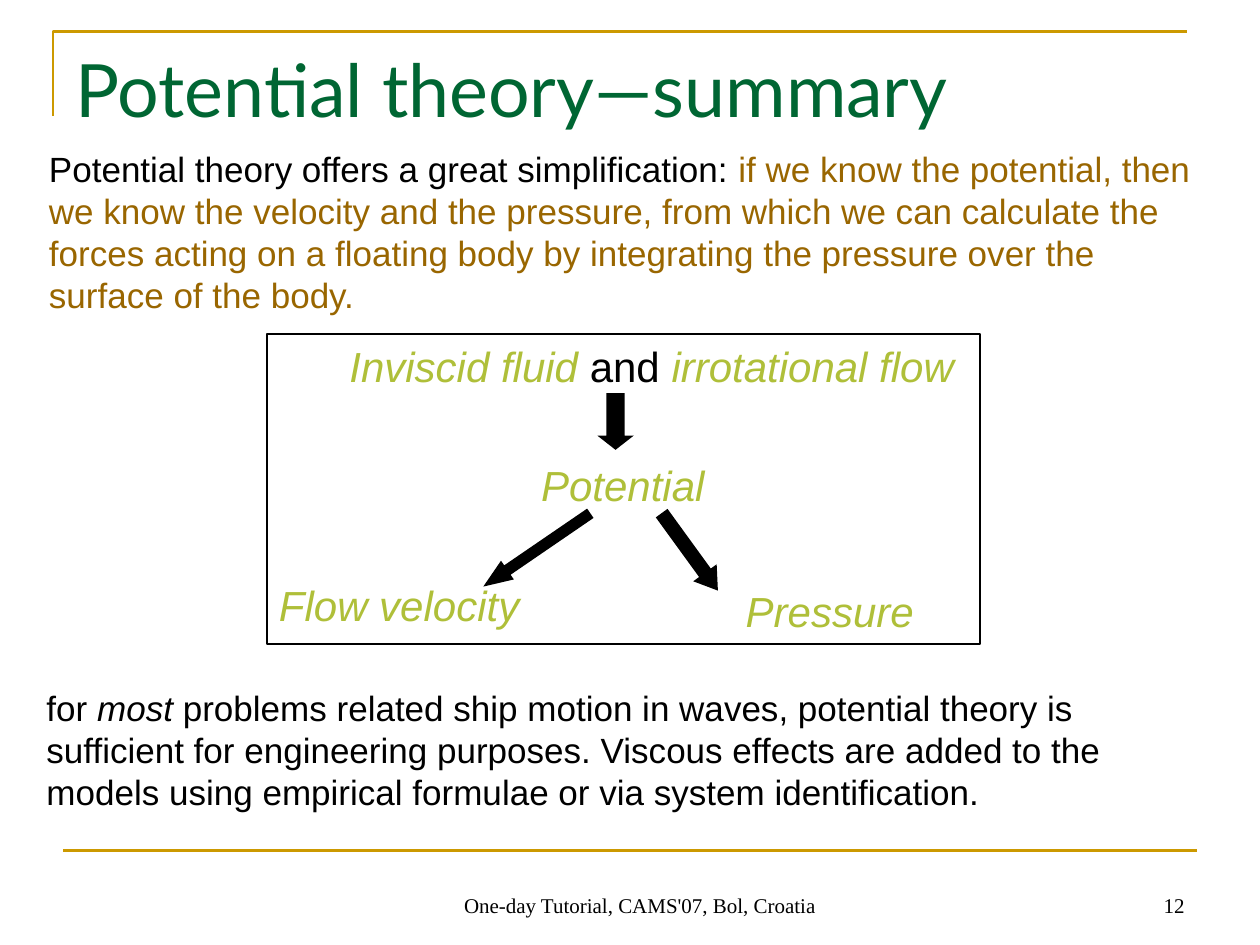
from pptx import Presentation
from pptx.dml.color import RGBColor
from pptx.enum.shapes import MSO_CONNECTOR, MSO_SHAPE
from pptx.enum.text import MSO_ANCHOR, PP_ALIGN
from pptx.util import Inches, Pt
from lxml import etree

LEFT, MID, RIGHT = PP_ALIGN.LEFT, PP_ALIGN.CENTER, PP_ALIGN.RIGHT
TOP, BOTTOM = MSO_ANCHOR.TOP, MSO_ANCHOR.BOTTOM
LINE = MSO_CONNECTOR.STRAIGHT
ARROW, RECT = MSO_SHAPE.DOWN_ARROW, MSO_SHAPE.RECTANGLE
NS = "{http://schemas.openxmlformats.org/drawingml/2006/main}"
HEX = {"gold": "CC9900", "green": "006633", "brown": "996600",
       "lime": "AFBF39", "black": "000000"}
COLOR = {name: RGBColor.from_string(code) for name, code in HEX.items()}


def add_text(shapes, box, runs, size, face="Arial", align=LEFT, anchor=TOP):
    """Add one paragraph; each run is (text, color, italic)."""
    frame = shapes.add_textbox(*map(Inches, box)).text_frame
    frame.word_wrap = True
    frame.vertical_anchor = anchor
    para = frame.paragraphs[0]
    para.alignment = align
    for text, color, italic in runs:
        run = para.add_run()
        run.text = text
        run.font.color.rgb = COLOR[color]
        style = {"name": face, "size": Pt(size), "italic": italic}
        for key, value in style.items():
            setattr(run.font, key, value)


prs = Presentation()
prs.slide_width, prs.slide_height = Inches(10), Inches(7.5)
slide = prs.slides.add_slide(prs.slide_layouts[6])
shapes = slide.shapes

# Corner rule at the top
pen = shapes.build_freeform(Inches(0.42), Inches(0.92))
pen.add_line_segments([(Inches(0.42), Inches(0.25)),
                       (Inches(9.42), Inches(0.25))], close=False)
corner = pen.convert_to_shape()
corner.shadow.inherit = False
corner.fill.background()

# Rule above the footer
rule = shapes.add_connector(LINE, Inches(0.5), Inches(6.75),
                            Inches(9.5), Inches(6.75))
etree.SubElement(rule._element.spPr, NS + "effectLst")
for item in (corner, rule):
    item.line.color.rgb = COLOR["gold"]
    item.line.width = Pt(1.5)
# The effect list must follow the line settings
rule._element.spPr.append(rule._element.spPr.find(NS + "effectLst"))

# Footer and page number
for box, text, align in [
    ((3.11, 6.83, 3.94, 0.5), "One-day Tutorial, CAMS'07, Bol, Croatia", MID),
    ((7.17, 6.83, 2.33, 0.5), "12", RIGHT),
]:
    add_text(shapes, box, [(text, "black", False)], 12,
             "Times New Roman", align, BOTTOM)

# Title and body text
add_text(shapes, (0.5, 0.3, 9, 1.25),
         [("Potential theory—summary", "green", False)], 42, "Lato")
add_text(shapes, (0.27, 5.4, 9.41, 1.1), [
    ("for ", "black", False),
    ("most ", "black", True),
    ("problems related ship motion in waves, potential theory is sufficient "
     "for engineering purposes. Viscous effects are added to the models "
     "using empirical formulae or via system identification.",
     "black", False),
], 20)
add_text(shapes, (0.29, 1.12, 9.41, 1.76), [
    ("Potential theory offers a great simplification: ", "black", False),
    ("if we know the potential, then we know the velocity and the pressure, "
     "from which we can calculate the forces acting on a floating body by "
     "integrating the pressure over the surface of the body.",
     "brown", False),
], 20)

# Diagram labels
chart = shapes.add_group_shape().shapes
for box, runs in [
    ((2.4, 2.65, 5.27, 0.5), [("Inviscid fluid ", "lime", True),
                              ("and ", "black", False),
                              ("irrotational flow", "lime", True)]),
    ((4.19, 3.6, 1.5, 0.5), [("Potential", "lime", True)]),
    ((2.02, 4.55, 2.2, 0.5), [("Flow velocity", "lime", True)]),
    ((5.73, 4.6, 1.62, 0.5), [("Pressure", "lime", True)]),
]:
    add_text(chart, box, runs, 24, align=RIGHT)

# Diagram arrows: box, turn, head length over width
for box, turn, head in [
    ((4.74, 3.12, 0.29, 0.45), 0, 0.39),
    ((4.17, 3.85, 0.18, 1.03), 55.6, 1.29),
    ((5.36, 4, 0.23, 0.76), 324, 0.76),
]:
    arrow = chart.add_shape(ARROW, *map(Inches, box))
    arrow.shadow.inherit = False
    arrow.rotation = turn
    arrow.adjustments[0], arrow.adjustments[1] = 0.5, head
    arrow.fill.solid()
    arrow.fill.fore_color.rgb = COLOR["black"]
    arrow.line.fill.background()

# Diagram frame
frame = chart.add_shape(RECT, *map(Inches, (2.12, 2.65, 5.66, 2.46)))
frame.shadow.inherit = False
frame.fill.background()
frame.line.color.rgb = COLOR["black"]
frame.line.width = Pt(1)

prs.save("out.pptx")
